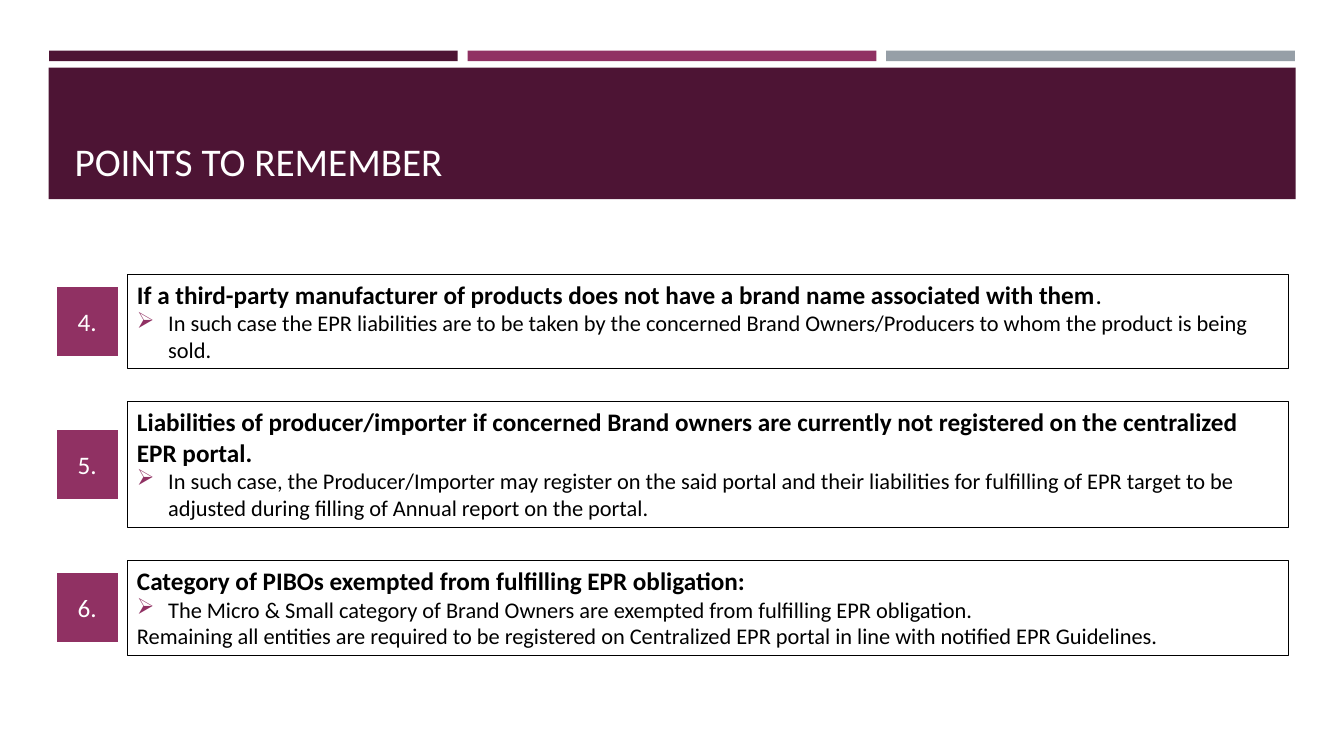
from lxml import etree
from pptx import Presentation
from pptx.dml.color import RGBColor
from pptx.enum.shapes import MSO_SHAPE
from pptx.enum.text import MSO_ANCHOR, MSO_AUTO_SIZE, PP_ALIGN
from pptx.oxml.ns import qn
from pptx.util import Inches, Pt

RECT = MSO_SHAPE.RECTANGLE
TOP, MIDDLE, BOTTOM = MSO_ANCHOR.TOP, MSO_ANCHOR.MIDDLE, MSO_ANCHOR.BOTTOM
LEFT, CENTER = PP_ALIGN.LEFT, PP_ALIGN.CENTER
NO_FIT = MSO_AUTO_SIZE.NONE

PLUM, MAGENTA, GREY = "4D1434", "903163", "969FA7"
BLACK, WHITE = "000000", "FFFFFF"
FONT = "Calibri"
HEAD, BULLET, PLAIN = "head", "bullet", "plain"

# Number, box height in percent of the slide, paragraphs as (kind, runs)
POINTS = [
    ("4.", 12.53, [
        (HEAD, ["If a third-party manufacturer of products does not have "
                "a brand name associated with them", "."]),
        (BULLET, ["In such case the EPR liabilities are to be taken by the concerned "
                  "Brand Owners/Producers to whom the product is being sold."])]),
    ("5.", 16.67, [
        (HEAD, ["Liabilities of producer/importer if concerned Brand owners are "
                "currently not registered on the centralized EPR portal."]),
        (BULLET, ["In such case, the Producer/Importer may register on the said portal "
                  "and their liabilities for fulfilling of EPR target to be adjusted "
                  "during filling of Annual report on the portal."])]),
    ("6.", 12.53, [
        (HEAD, ["Category of PIBOs exempted from fulfilling EPR obligation:"]),
        (BULLET, ["The Micro & Small category of Brand Owners are exempted from "
                  "fulfilling EPR obligation."]),
        (PLAIN, ["Remaining all entities are required to be registered on Centralized "
                 "EPR portal in line with notified EPR Guidelines."])]),
]


def color(hex_code):
    return RGBColor.from_string(hex_code)


class Deck:
    """Holds the style and the current slide; lengths are percent of its size."""

    def __init__(self, prs):
        self.prs = prs
        self.s = prs.slides.add_slide(prs.slide_layouts[5])

    def area(self, x, y, w, h):
        width, height = self.prs.slide_width, self.prs.slide_height
        return [round(share * full / 100) for share, full in
                ((x, width), (y, height), (w, width), (h, height))]

    def rect(self, x, y, w, h, fill=None, line=None, weight=1):
        sp = self.s.shapes.add_shape(RECT, *self.area(x, y, w, h))
        sp.shadow.inherit = False
        if fill:
            sp.fill.solid()
            sp.fill.fore_color.rgb = color(fill)
        else:
            sp.fill.background()
        if line:
            sp.line.color.rgb = color(line)
            sp.line.width = Pt(weight)
        else:
            sp.line.fill.background()
        return sp

    def style(self, r, size, hex_code, bold=False):
        r.font.name, r.font.size, r.font.bold = FONT, Pt(size), bold
        r.font.color.rgb = color(hex_code)

    def title(self, text, x, y, w, h):
        sp = self.s.shapes.title
        sp.left, sp.top, sp.width, sp.height = self.area(x, y, w, h)
        self.s.shapes._spTree.append(sp._element)  # in front of the band
        tf = sp.text_frame
        tf.text = text
        tf.auto_size, tf.vertical_anchor, tf.word_wrap = NO_FIT, BOTTOM, True
        p = tf.paragraphs[0]
        p.alignment = LEFT
        self.style(p.runs[0], 28, WHITE)

    def badge(self, number, x, y, w, h):
        tf = self.rect(x, y, w, h, MAGENTA, WHITE, 2).text_frame
        tf.text = number
        tf.vertical_anchor = MIDDLE
        p = tf.paragraphs[0]
        p.alignment = CENTER
        self.style(p.runs[0], 18, WHITE)

    def bullet(self, p):
        pPr = p._p.get_or_add_pPr()
        pPr.set("marL", str(Inches(0.31)))
        pPr.set("indent", str(-Inches(0.31)))
        clr = etree.SubElement(pPr, qn("a:buClr"))
        etree.SubElement(clr, qn("a:srgbClr")).set("val", MAGENTA)
        etree.SubElement(pPr, qn("a:buChar")).set("char", "➢")

    def box(self, paragraphs, x, y, w, h):
        tf = self.rect(x, y, w, h, line=BLACK, weight=0.75).text_frame
        tf.word_wrap, tf.vertical_anchor = True, TOP
        for i, (kind, texts) in enumerate(paragraphs):
            p = tf.add_paragraph() if i else tf.paragraphs[0]
            p.alignment = LEFT
            if kind == BULLET:
                self.bullet(p)
            for j, text in enumerate(texts):
                r = p.add_run()
                r.text = text
                self.style(r, 18 if kind == HEAD else 16, BLACK, kind == HEAD and j == 0)


def main():
    prs = Presentation()
    prs.slide_width, prs.slide_height = Inches(13.33), Inches(7.5)
    deck = Deck(prs)

    for i, fill in enumerate((PLUM, MAGENTA, GREY)):
        deck.rect(3.66 + i * 31.14, 6.7, 30.4, 1.4, fill)
    deck.rect(3.63, 8.95, 92.77, 17.4, PLUM)
    deck.title("POINTS TO REMEMBER", 4.8, 10.27, 90.45, 14.8)

    y, gap, badge_h = 36.27, 4.33, 9.47
    for number, h, paragraphs in POINTS:
        deck.box(paragraphs, 9.45, y, 86.4, h)
        deck.badge(number, 4.13, y + (h - badge_h) / 2, 4.73, badge_h)
        y += h + gap

    prs.save("out.pptx")


if __name__ == "__main__":
    main()
